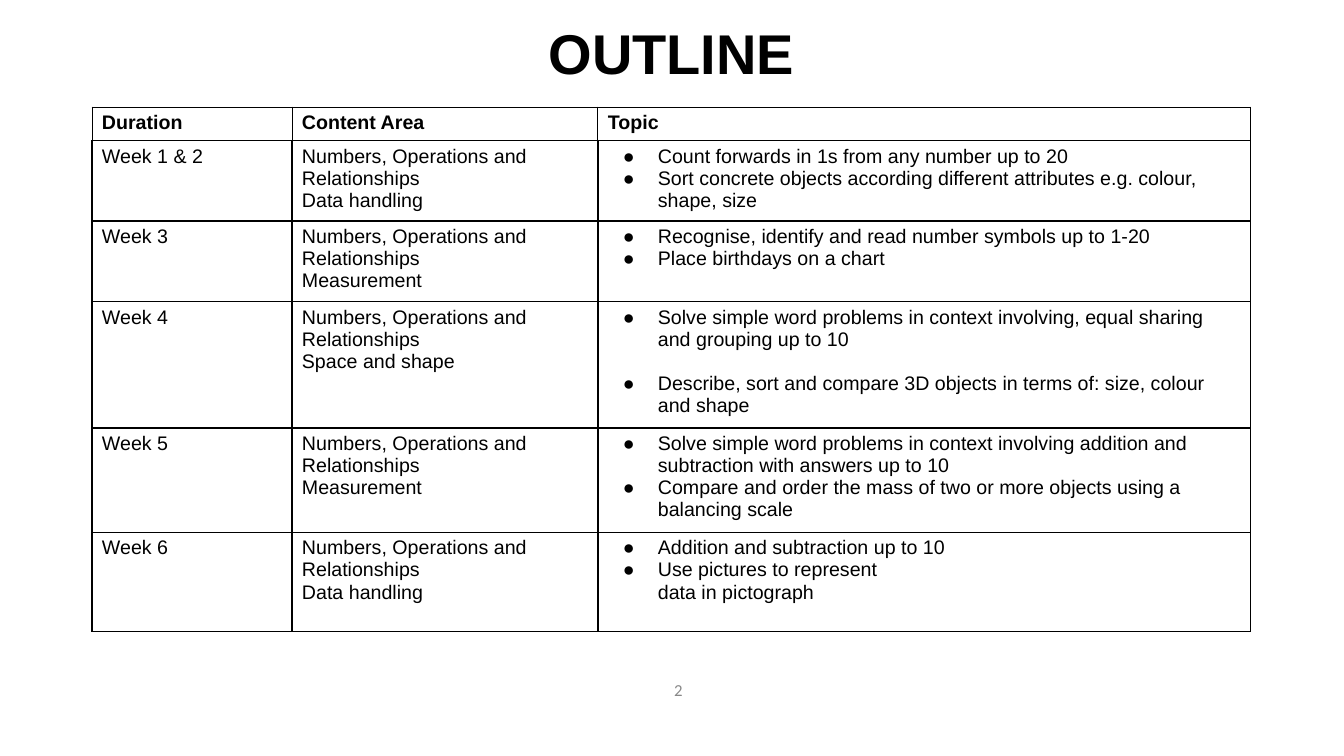
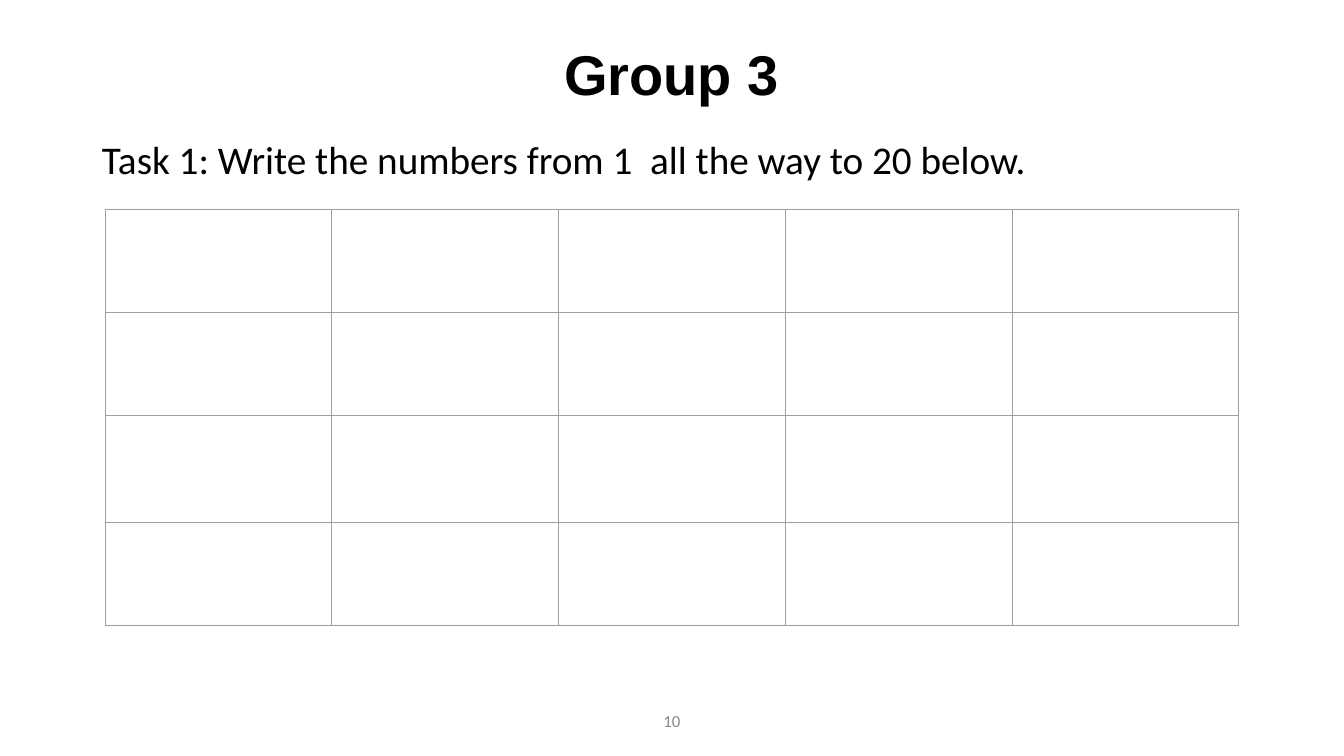
from lxml import etree
from pptx import Presentation
from pptx.dml.color import RGBColor
from pptx.enum.text import MSO_ANCHOR, PP_ALIGN
from pptx.oxml.ns import qn
from pptx.util import Emu, Pt

MID, TOP = MSO_ANCHOR.MIDDLE, MSO_ANCHOR.TOP
LEFT, CENTER = PP_ALIGN.LEFT, PP_ALIGN.CENTER

# Shared look
BLACK, GREY, RULE, WHITE = "000000", "888888", "9E9E9E", "FFFFFF"
TITLE = {"size": 40, "name": "Arial", "color": BLACK, "bold": True}
TASK = {"size": 28, "name": "Calibri", "color": BLACK, "bold": False}
FOOT = {"size": 12, "name": "Calibri", "color": GREY, "bold": False}
CELL = {"size": 14, "name": "Arial", "color": BLACK, "bold": False}
HEAD = {**CELL, "bold": True}
INSET = {"left": 10, "top": 5, "right": 10, "bottom": 5}
EDGE, WIDE = 92, 1159

# Outline content: week, second content area, topics
HEADS = ["Duration", "Content Area", "Topic"]
AREA = "Numbers, Operations and Relationships"
WEEKS = [
    ("Week 1 & 2", "Data handling", [
        "Count forwards in 1s from any number up to 20",
        "Sort concrete objects according different attributes e.g. colour, "
        "shape, size"]),
    ("Week 3", "Measurement", [
        "Recognise, identify and read number symbols up to 1-20",
        "Place birthdays on a chart"]),
    ("Week 4", "Space and shape", [
        "Solve simple word problems in context involving, equal sharing "
        "and grouping up to 10",
        "Describe, sort and compare 3D objects in terms of: size, colour "
        "and shape"]),
    ("Week 5", "Measurement", [
        "Solve simple word problems in context involving addition and "
        "subtraction with answers up to 10",
        "Compare and order the mass of two or more objects using a "
        "balancing scale"]),
    ("Week 6", "Data handling", [
        "Addition and subtraction up to 10",
        "Use pictures to represent",
        "data in pictograph"]),
]
GAPS = {"Describe, sort": 16}
PLAIN = {"data in pictograph"}
COLS = [200, 306, 653]
ROWS = [32, 77, 76, 120, 98, 99]

# Number grid
GRID_COLS = [226] + [227] * 4
GRID_ROWS = [103, 104, 107, 103]


def px(n):
    return Emu(round(n * 914400 / 100.8))


def rgb(code):
    return RGBColor.from_string(code)


def style(font, look):
    for key, val in look.items():
        if key == "color":
            font.color.rgb = rgb(val)
        else:
            setattr(font, key, Pt(val) if key == "size" else val)


def write(para, text, look):
    run = para.add_run()
    run.text = text
    style(run.font, look)
    style(para.font, look)
    # The end mark sets the bullet size and the least line height
    mark = etree.SubElement(para._p, qn("a:endParaRPr"))
    mark.set("sz", str(look["size"] * 100))
    etree.SubElement(mark, qn("a:latin"), typeface=look["name"])


def pad(box):
    for side, val in INSET.items():
        setattr(box, "margin_" + side, px(val))


def label(slide, area, text, look, align=CENTER, anchor=MID, lead=1.0):
    frame = slide.shapes.add_textbox(*map(px, area)).text_frame
    frame.word_wrap = True
    frame.vertical_anchor = anchor
    pad(frame)
    para = frame.paragraphs[0]
    para.alignment, para.line_spacing = align, lead
    write(para, text, look)


def start(deck, title, top, high, number, foot):
    slide = deck.slides.add_slide(deck.slide_layouts[6])
    label(slide, (EDGE, top, WIDE, high), title, TITLE, lead=0.9)
    label(slide, foot, number, FOOT)
    return slide


def border(cell, color, width):
    props = cell._tc.get_or_add_tcPr()
    for side in "LRTB":
        line = etree.SubElement(props, qn("a:ln" + side), w=str(Pt(width)))
        fill = etree.SubElement(line, qn("a:solidFill"))
        etree.SubElement(fill, qn("a:srgbClr"), val=color)


def table(slide, left, top, cols, rows):
    area = map(px, (left, top, sum(cols), sum(rows)))
    grid = slide.shapes.add_table(len(rows), len(cols), *area).table
    grid.first_row = grid.horz_banding = False
    for col, wide in zip(grid.columns, cols):
        col.width = px(wide)
    for row, high in zip(grid.rows, rows):
        row.height = px(high)
    return grid


def bullet(para, text):
    props = para._p.get_or_add_pPr()
    props.set("marL", str(px(50)))
    props.set("indent", str(0 if text in PLAIN else px(-35)))
    if text not in PLAIN:
        tint = etree.SubElement(props, qn("a:buClr"))
        etree.SubElement(tint, qn("a:srgbClr"), val=BLACK)
        etree.SubElement(props, qn("a:buFont"), typeface="Arial")
        etree.SubElement(props, qn("a:buChar"), char="●")
    for lead, gap in GAPS.items():
        if text.startswith(lead):
            para.space_before = Pt(gap)


def fill_cell(cell, lines, look, width, listed):
    pad(cell)
    border(cell, BLACK, width)
    cell.fill.solid()
    cell.fill.fore_color.rgb = rgb(WHITE)
    frame = cell.text_frame
    for i, text in enumerate(lines):
        para = frame.add_paragraph() if i else frame.paragraphs[0]
        if listed:
            bullet(para, text)
        write(para, text, look)


def outline(deck):
    slide = start(deck, "OUTLINE", 5, 103, "2", (75, 638, 1207, 103))
    grid = table(slide, EDGE, 107, COLS, ROWS)
    body = [[[week], [AREA, extra], topics] for week, extra, topics in WEEKS]
    for r, row in enumerate([[[h] for h in HEADS]] + body):
        for c, lines in enumerate(row):
            fill_cell(grid.cell(r, c), lines, CELL if r else HEAD,
                      1 if r else 0.75, r > 0 and c == 2)


def group(deck):
    slide = start(deck, "Group 3", 44, 67, "10", (445, 701, 454, 40))
    label(slide, (EDGE, 136, WIDE, 545),
          "Task 1: Write the numbers from 1  all the way to 20 below.",
          TASK, LEFT, TOP, 0.9)
    grid = table(slide, 105, 209, GRID_COLS, GRID_ROWS)
    for cell in grid.iter_cells():
        border(cell, RULE, 0.75)
        cell.fill.background()


def main():
    deck = Presentation()
    deck.slide_width, deck.slide_height = px(1344), px(756)
    outline(deck)
    group(deck)
    deck.save("out.pptx")


if __name__ == "__main__":
    main()
